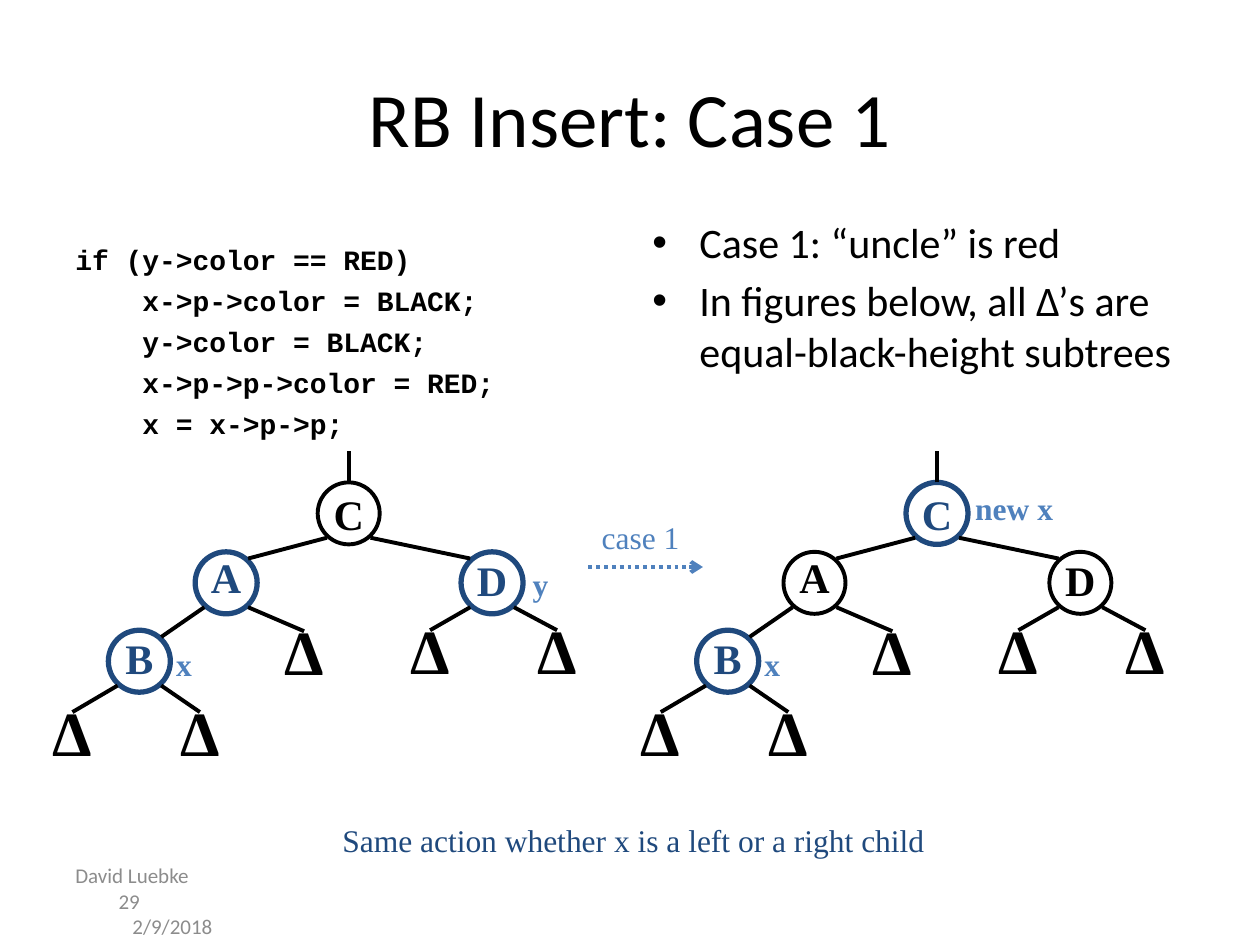
from typing import NamedTuple, Optional

import pptx
import pptx.dml.color
import pptx.enum.dml
import pptx.enum.shapes
import pptx.enum.text
import pptx.oxml.ns
import pptx.util
from lxml import etree

Cm, Pt = pptx.util.Cm, pptx.util.Pt
RGBColor = pptx.dml.color.RGBColor
ALIGN = pptx.enum.text.PP_ALIGN
ANCHOR = pptx.enum.text.MSO_ANCHOR
qn = pptx.oxml.ns.qn

BLACK = RGBColor(0x00, 0x00, 0x00)
WHITE = RGBColor(0xFF, 0xFF, 0xFF)
NAVY = RGBColor(0x1F, 0x49, 0x7D)  # stands for a red tree node
BLUE = RGBColor(0x4F, 0x81, 0xBD)
GREY = RGBColor(0x8C, 0x8C, 0x8C)
SANS, MONO, SERIF = "Calibri", "Courier New", "Times New Roman"

SIZE = 1.25            # node diameter, cm
REACH_X, REACH_Y = 0.44, 0.49  # where edges meet a circle
TREE_SHIFT = 11.86     # from the left tree to the right one


class Node(NamedTuple):
    name: str
    x: float  # centre, cm
    y: float
    parent: Optional[str] = None
    spacing: float = 0.6


class Label(NamedTuple):
    text: str
    x: float
    y: float
    w: float
    h: float
    color: RGBColor = BLUE
    bold: bool = True
    align: ALIGN = ALIGN.CENTER


NODES = [
    Node("C", 7.03, 10.35, None, 1.0),
    Node("A", 4.56, 11.75, "C", 0.7),
    Node("D", 9.92, 11.75, "C", 0.9),
    Node("B", 2.81, 13.33, "A", 0.9),
    Node("Δ", 6.13, 13.35, "A"),
    Node("Δ", 8.67, 13.33, "D"),
    Node("Δ", 11.23, 13.33, "D"),
    Node("Δ", 1.46, 14.98, "B"),
    Node("Δ", 4.03, 14.98, "B"),
]

LABELS = [
    Label("x", 3.28, 12.83, 0.86, 1.09),
    Label("x", 3.28 + TREE_SHIFT, 12.83, 0.86, 1.09),
    Label("y", 10.49, 11.23, 0.81, 1.09),
    Label("new x", 19.41, 9.7, 2.26, 1.09, align=ALIGN.LEFT),
    Label("case 1", 11.86, 10.31, 2.11, 1.02, bold=False),
    Label("Same action whether x is a left or a right child",
          5.97, 16.38, 13.61, 1.09, NAVY, False),
]

CODE = [
    "if (y->color == RED)",
    "    x->p->color = BLACK;",
    "    y->color = BLACK;",
    "    x->p->p->color = RED;",
    "    x = x->p->p;",
]
POINTS = [
    "Case 1: “uncle” is red",
    "In figures below, all Δ’s are equal-black-height subtrees",
]


def style(p, font: str, size: float, color: RGBColor, bold: bool = False) -> None:
    for r in p.runs:
        r.font.name, r.font.size, r.font.bold = font, Pt(size), bold
        r.font.color.rgb = color


def add_text(s, lines: list, x: float, y: float, w: float, h: float,
             font: str, size: float, color: RGBColor = BLACK, bold: bool = False,
             align=ALIGN.LEFT, anchor=ANCHOR.MIDDLE, wrap: bool = True,
             gap: float = 0):
    tf = s.shapes.add_textbox(Cm(x), Cm(y), Cm(w), Cm(h)).text_frame
    tf.word_wrap, tf.vertical_anchor = wrap, anchor
    tf.text = "\n".join(lines)
    for i, p in enumerate(tf.paragraphs):
        p.alignment = align
        p.space_before = Pt(gap if i else 0)
        style(p, font, size, color, bold)
    return tf


def indent(p, left: float, first: float = 0) -> None:
    pPr = p._p.get_or_add_pPr()
    pPr.set("marL", str(Cm(left)))
    pPr.set("indent", str(Cm(first)))


def add_line(s, x1: float, y1: float, x2: float, y2: float,
             color: RGBColor = BLACK):
    line = s.shapes.add_connector(pptx.enum.shapes.MSO_CONNECTOR.STRAIGHT,
                                  Cm(x1), Cm(y1), Cm(x2), Cm(y2))
    line.line.color.rgb, line.line.width = color, Pt(2.25)
    etree.SubElement(line._element.spPr, qn("a:effectLst"))
    return line


def add_node(s, node: Node, dx: float, red: bool) -> None:
    subtree = node.name == "Δ"
    sp = s.shapes.add_shape(pptx.enum.shapes.MSO_SHAPE.OVAL,
                            Cm(node.x + dx - SIZE / 2), Cm(node.y - SIZE / 2),
                            Cm(SIZE), Cm(SIZE))
    sp.shadow.inherit = False
    color = NAVY if red else BLACK
    if subtree:
        sp.fill.background()
        sp.line.fill.background()
    else:
        sp.fill.solid()
        sp.fill.fore_color.rgb = WHITE
        sp.line.color.rgb, sp.line.width = color, Pt(3 if red else 2.25)
    tf = sp.text_frame
    tf.word_wrap, tf.vertical_anchor = False, ANCHOR.MIDDLE
    tf.text = node.name
    p = tf.paragraphs[0]
    p.alignment, p.line_spacing = ALIGN.CENTER, node.spacing
    style(p, SERIF, 36 if subtree else 24, color, True)


def add_tree(s, dx: float, red_names: str) -> None:
    named = {node.name: node for node in NODES}
    for node in NODES:
        add_node(s, node, dx, node.name in red_names)
    for node in NODES:
        x, top = node.x + dx, node.y - SIZE / 2
        if node.parent is None:
            add_line(s, x, top, x, top - 0.64)
            continue
        parent = named[node.parent]
        side = 1 if node.x > parent.x else -1
        end = (x, top) if node.name == "Δ" else (x - side * REACH_X, node.y - REACH_Y)
        add_line(s, parent.x + dx + side * REACH_X, parent.y + REACH_Y, *end)


def main() -> None:
    prs = pptx.Presentation()
    prs.slide_width, prs.slide_height = Cm(25.4), Cm(19.05)
    s = prs.slides.add_slide(prs.slide_layouts[6])

    # Title, code and bullet points
    add_text(s, ["RB Insert: Case 1"], 1.27, 0.76, 22.86, 3.18, SANS, 44,
             align=ALIGN.CENTER)
    code = add_text(s, CODE, 1.27, 4.65, 11.23, 4.65, MONO, 16, bold=True,
                    anchor=ANCHOR.TOP, gap=4.3)
    code.margin_top = Cm(0.24)
    points = add_text(s, POINTS, 12.9, 4.24, 11.23, 4.88, SANS, 24,
                      anchor=ANCHOR.TOP, gap=4.6)
    for p in points.paragraphs:
        indent(p, 0.95, -0.95)
        pPr = p._p.get_or_add_pPr()
        etree.SubElement(pPr, qn("a:buFont")).set("typeface", "Arial")
        etree.SubElement(pPr, qn("a:buChar")).set("char", "•")

    # Trees before and after recolouring
    add_tree(s, 0, "ABD")
    add_tree(s, TREE_SHIFT, "BC")

    # Dotted arrow between the trees
    arrow = add_line(s, 11.86, 11.43, 14.17, 11.43, BLUE)
    arrow.line.dash_style = pptx.enum.dml.MSO_LINE.ROUND_DOT
    etree.SubElement(arrow.line._get_or_add_ln(), qn("a:tailEnd")).set("type", "arrow")

    # Labels
    for label in LABELS:
        add_text(s, [label.text], label.x, label.y, label.w, label.h, SERIF, 18,
                 label.color, label.bold, label.align, wrap=False)

    # Footer
    footer = add_text(s, ["David Luebke", "29", "2/9/2018"], 1.27, 17.65, 5.92, 1.02,
                      SANS, 12, GREY)
    for p, left in zip(footer.paragraphs, (0, 0.87, 1.15)):
        indent(p, left)

    prs.save("out.pptx")


if __name__ == "__main__":
    main()
